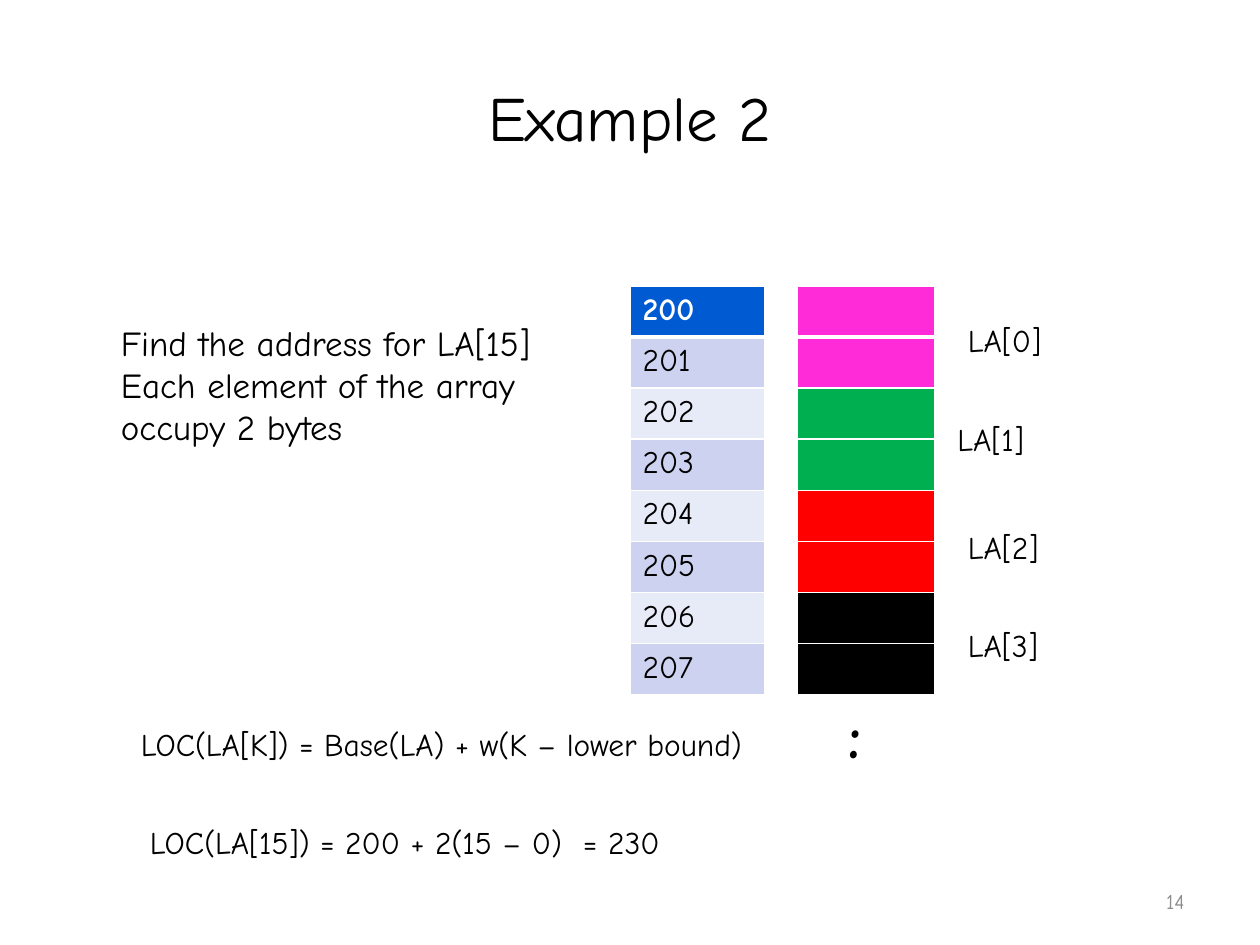
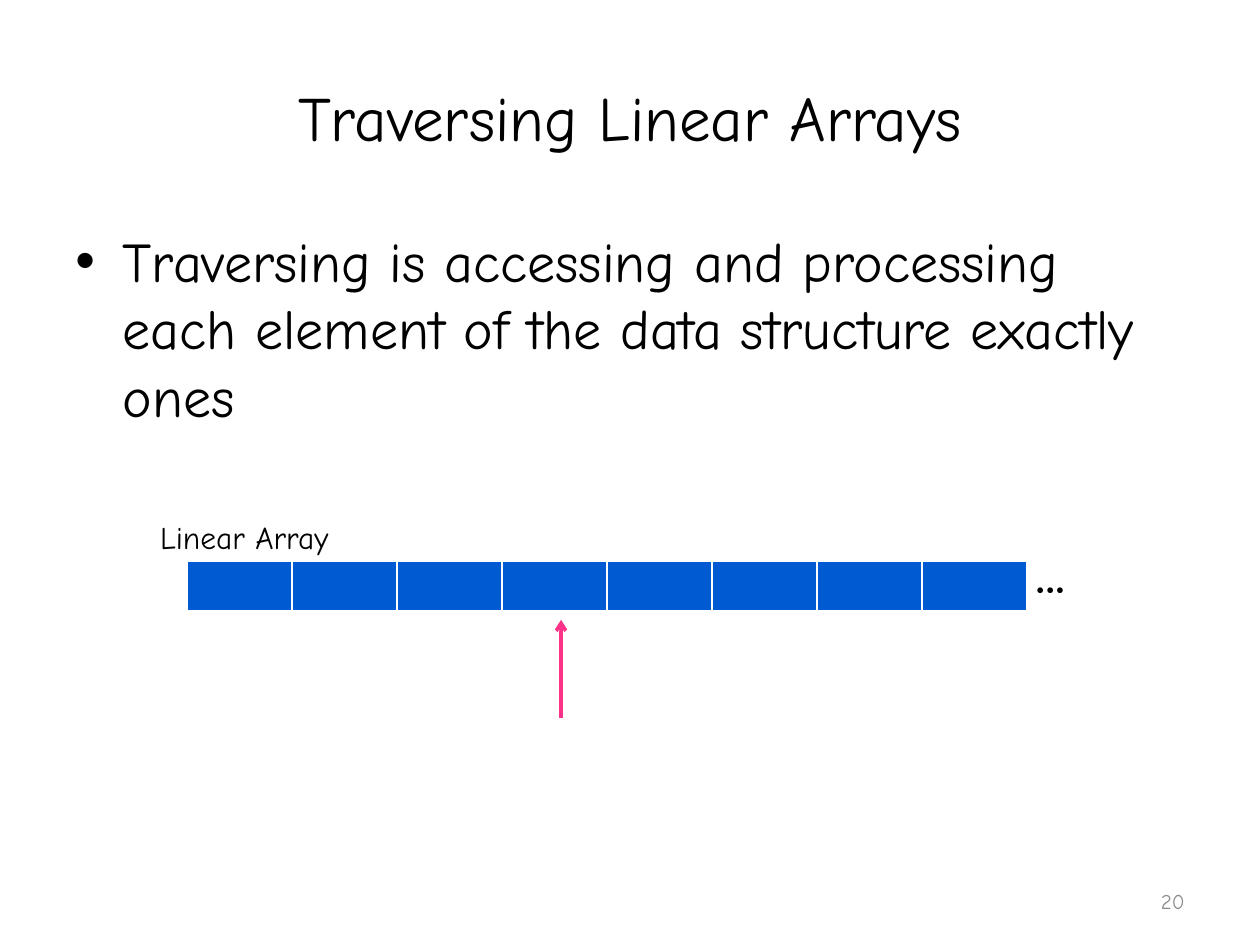
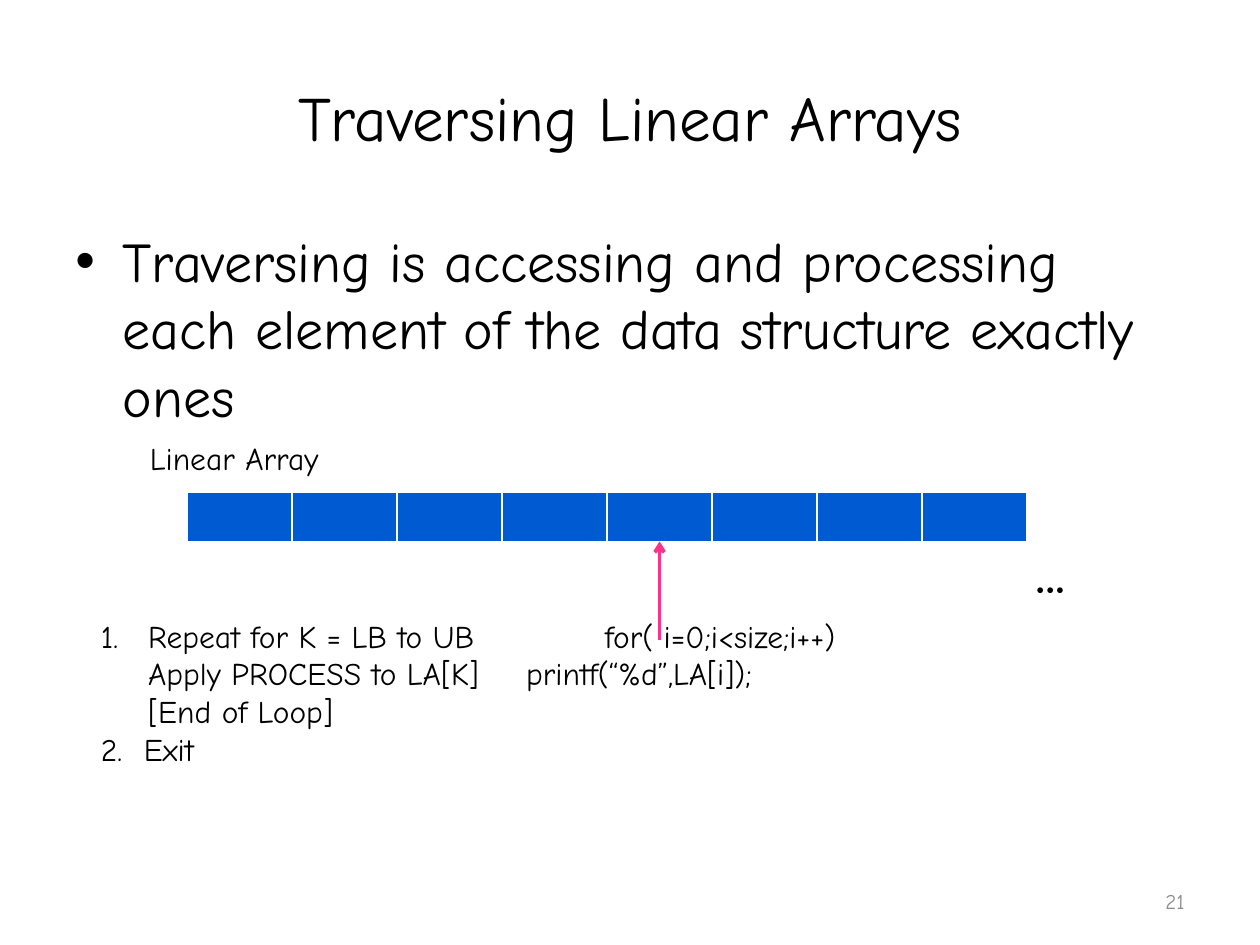
from lxml import etree
from pptx import Presentation
from pptx import util as u
from pptx.dml import color
from pptx.enum import shapes, text
from pptx.oxml import ns

Pt = u.Pt
FONT = "Comic Neue"
COLORS = {
    "black": "000000", "white": "FFFFFF", "gray": "8C8C8C",
    "blue": "005BD3", "band_dark": "CCD2EF", "band_light": "E7EAF7",
    "magenta": "FF2BD8", "green": "00B050", "red": "FF0000",
    "pink": "FE3288",
}
ROW_HEIGHT = 29.2
TRAVERSING = ("Traversing is accessing and processing each element "
              "of the data structure exactly ones")


def rgb(name):
    return color.RGBColor.from_string(COLORS[name])


def add_run(p, words, size, ink="black", bold=False):
    r = p.add_run()
    r.text = words
    r.font.name = FONT
    r.font.size = Pt(size)
    r.font.bold = bold
    r.font.color.rgb = rgb(ink)


def add_child(parent, tag, **attrs):
    return etree.SubElement(parent, ns.qn(tag), attrs)


def hang(p, left, bullet=None, number=None, tab=None):
    pPr = p._p.get_or_add_pPr()
    pPr.set("marL", str(Pt(left)))
    pPr.set("indent", str(-Pt(left)))
    if bullet:
        add_child(pPr, "a:buFont", typeface="Arial")
        add_child(pPr, "a:buChar", char=bullet)
    if number:
        add_child(pPr, "a:buFont", typeface="+mj-lt")
        add_child(pPr, "a:buAutoNum", type=number)
    if tab:
        tabs = add_child(pPr, "a:tabLst")
        add_child(tabs, "a:tab", pos=str(Pt(tab)), algn="l")


def add_text(s, box, lines, size=18, ink="black", bold=False, align=None,
             anchor=text.MSO_ANCHOR.TOP):
    tf = s.shapes.add_textbox(*map(Pt, box)).text_frame
    tf.word_wrap = True
    tf.vertical_anchor = anchor
    for i, line in enumerate(lines):
        p = tf.add_paragraph() if i else tf.paragraphs[0]
        p.alignment = align
        add_run(p, line, size, ink, bold)
    return tf


def add_slide(prs, title, number):
    s = prs.slides.add_slide(prs.slide_layouts[5])
    sp = s.shapes.title
    sp.left, sp.top, sp.width, sp.height = map(Pt, (36, 21.6, 648, 90))
    tf = sp.text_frame
    tf.vertical_anchor = text.MSO_ANCHOR.MIDDLE
    p = tf.paragraphs[0]
    p.alignment = text.PP_ALIGN.CENTER
    add_run(p, title, 36)
    add_text(s, (516, 500.5, 168, 28.75), [str(number)], 12, "gray",
             align=text.PP_ALIGN.RIGHT, anchor=text.MSO_ANCHOR.MIDDLE)
    return s


def set_borders(cell, header):
    tcPr = cell._tc.get_or_add_tcPr()
    for i, side in enumerate(("a:lnL", "a:lnR", "a:lnT", "a:lnB")):
        width = 3 if header and side == "a:lnB" else 1
        ln = etree.Element(ns.qn(side), w=str(Pt(width)))
        fill = add_child(ln, "a:solidFill")
        add_child(fill, "a:srgbClr", val=COLORS["white"])
        tcPr.insert(i, ln)


def add_grid(s, left, top, col_width, fills, labels=None):
    rows, cols = len(fills), len(fills[0])
    table = s.shapes.add_table(rows, cols, Pt(left), Pt(top),
                               Pt(col_width * cols),
                               Pt(ROW_HEIGHT * rows)).table
    for col in table.columns:
        col.width = Pt(col_width)
    for i, row in enumerate(table.rows):
        row.height = Pt(ROW_HEIGHT)
        for j, cell in enumerate(row.cells):
            cell.fill.solid()
            cell.fill.fore_color.rgb = rgb(fills[i][j])
            set_borders(cell, header=i == 0)
            if labels:
                add_run(cell.text_frame.paragraphs[0], labels[i], 18,
                        "black" if i else "white", bold=i == 0)


def add_arrow(s, x, bottom, top):
    line = s.shapes.add_connector(shapes.MSO_CONNECTOR.STRAIGHT,
                                  Pt(x), Pt(bottom), Pt(x), Pt(top))
    line.line.color.rgb = rgb("pink")
    line.line.width = Pt(2)
    add_child(line.line._get_or_add_ln(), "a:tailEnd", type="arrow")
    add_child(line._element.spPr, "a:effectLst")


def add_linear_array(s, top, label_left, label_top, arrow):
    tf = add_text(s, (36, 126, 648, 356.4), [TRAVERSING], 32)
    tf.paragraphs[0].space_before = Pt(6.4)
    hang(tf.paragraphs[0], 27, bullet="•")
    add_grid(s, 106.9, top, 60, [["blue"] * 8])
    add_text(s, (584.6, 320.4, 135.4, 29), ["•••"])
    add_arrow(s, *arrow)
    add_text(s, (label_left, label_top, 146, 29), ["Linear Array"])


def build_example(prs):
    s = add_slide(prs, "Example 2", 14)
    elements = ["magenta", "green", "red", "black"]
    add_grid(s, 455.8, 163.4, 78.2, [[c] for c in elements for _ in range(2)])
    bands = ["blue"] + [("band_light", "band_dark")[i % 2]
                        for i in range(1, 8)]
    add_grid(s, 360, 163.4, 76.8, [[c] for c in bands],
             [str(200 + i) for i in range(8)])
    for i, (left, top) in enumerate([(546, 180), (540, 236.2),
                                     (546, 298), (546, 354.2)]):
        add_text(s, (left, top, 67.5, 29), [f"LA[{i}]"])
    add_text(s, (62, 180, 286.5, 80),
             ["Find the address for LA[15]",
              "Each element of the array occupy 2 bytes"], 20)
    add_text(s, (73.4, 410.6, 405, 29),
             ["LOC(LA[K]) = Base(LA) + w(K – lower bound)"])
    add_text(s, (78.6, 466.8, 394, 29),
             ["LOC(LA[15]) = 200 + 2(15 – 0)  = 230"])
    add_text(s, (478, 393.8, 124, 51), [":"], 36, bold=True)


def build_traversing(prs):
    s = add_slide(prs, "Traversing Linear Arrays", 20)
    add_linear_array(s, 320.6, 84.4, 292.5, (320.6, 410.4, 354.2))


def build_algorithm(prs):
    s = add_slide(prs, "Traversing Linear Arrays", 21)
    add_linear_array(s, 281.2, 78.6, 247.5, (376.9, 365.6, 309.4))
    tf = add_text(s, (50.6, 348.8, 618.6, 94.5),
                  ["Repeat for K = LB to UB\tfor( i=0;i<size;i++)",
                   "\tApply PROCESS to LA[K]\tprintf(“%d”,LA[i]);",
                   "\t[End of Loop]",
                   "2.\tExit"])
    repeat, process, end, leave = tf.paragraphs
    hang(repeat, 27, number="arabicPeriod", tab=288)
    hang(process, 27, tab=327.5)
    hang(end, 27)
    hang(leave, 24.5)


def main():
    prs = Presentation()
    prs.slide_width, prs.slide_height = Pt(720), Pt(540)
    build_example(prs)
    build_traversing(prs)
    build_algorithm(prs)
    prs.save("out.pptx")


main()
